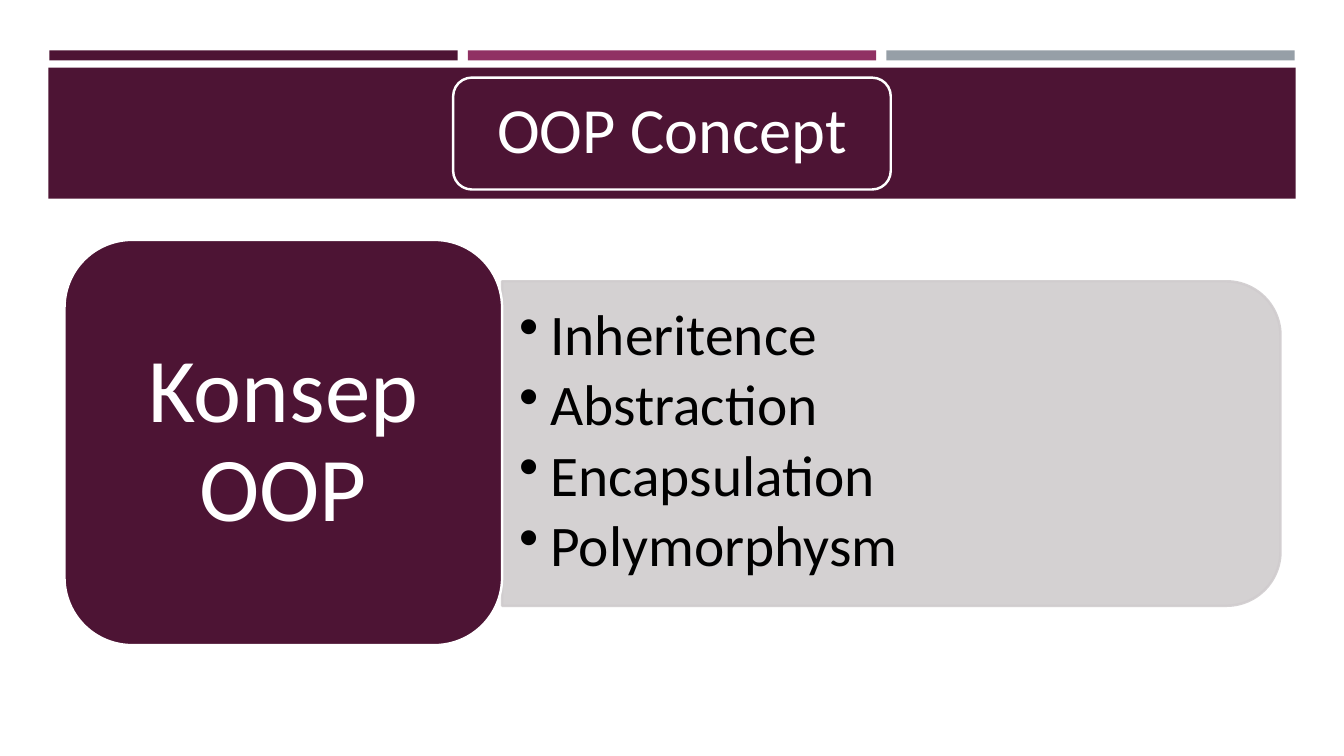
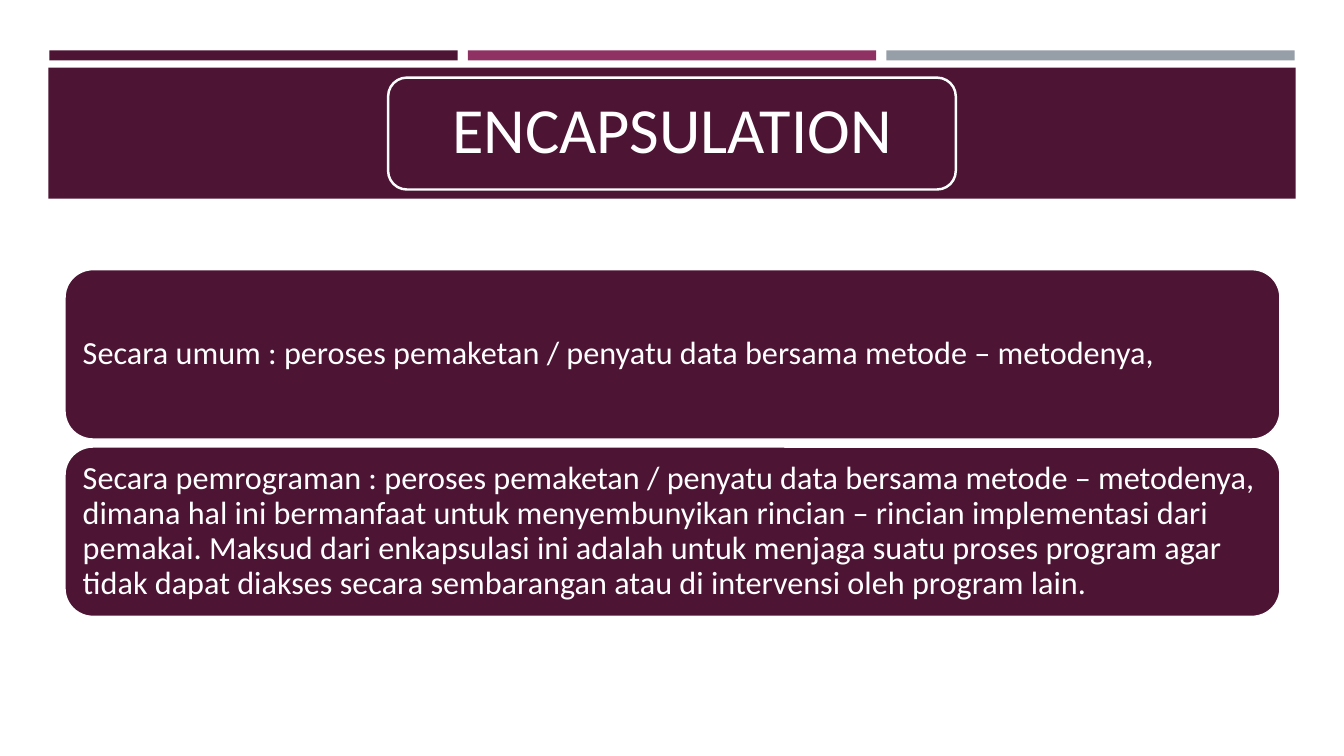
from lxml.etree import SubElement as Sub
from pptx import Presentation
from pptx.dml.color import RGBColor as Rgb
from pptx.enum.shapes import MSO_SHAPE as Kind
from pptx.enum.text import MSO_ANCHOR as Anchor, MSO_AUTO_SIZE as Fit, PP_ALIGN as Align
from pptx.oxml.ns import qn
from pptx.util import Pt

PX = 9144
COLORS = {
    "plum": "4D1434",
    "rose": "903163",
    "slate": "969FA7",
    "mist": "D0CCCE",
    "white": "FFFFFF",
    "black": "000000",
}


def px(*sizes):
    return [round(size * PX) for size in sizes]


def write(shape, text, size, color="white", align=Align.LEFT, pad=(10, 10), after=0, bullet=0):
    frame = shape.text_frame
    frame.word_wrap = True
    frame.auto_size = Fit.NONE
    frame.vertical_anchor = Anchor.MIDDLE
    frame.margin_left = frame.margin_right = px(pad[0])[0]
    frame.margin_top = frame.margin_bottom = px(pad[1])[0]
    for i, line in enumerate(text.split("\n")):
        para = frame.add_paragraph() if i else frame.paragraphs[0]
        para.alignment = align
        para.line_spacing = 0.9
        para.space_before = Pt(0)
        para.space_after = Pt(after)
        if bullet:
            props = para._p.get_or_add_pPr()
            dent = px(bullet)[0]
            props.set("marL", str(dent))
            props.set("indent", str(-dent))
            Sub(props, qn("a:buChar"), char="•")
        run = para.add_run()
        run.text = line
        run.font.name = "Calibri"
        run.font.size = Pt(size)
        run.font.color.rgb = Rgb.from_string(COLORS[color])


class Deck:
    def __init__(self):
        self.prs = Presentation()
        self.prs.slide_width, self.prs.slide_height = px(1333, 750)
        self.layout = self.prs.slide_layouts.get_by_name("Title Only")
        self.slide = None

    def box(self, kind, x, y, w, h, fill="plum", line=None):
        shape = self.slide.shapes.add_shape(kind, *px(x, y, w, h))
        shape.shadow.inherit = False
        shape.fill.solid()
        shape.fill.fore_color.rgb = Rgb.from_string(COLORS[fill])
        if line:
            shape.line.width = Pt(1.75)
            shape.line.color.rgb = Rgb.from_string(COLORS[line])
        else:
            shape.line.fill.background()
        return shape

    def bands(self):
        bars = [
            self.box(Kind.RECTANGLE, 49 + 415 * i, 50, 405, 10, color)
            for i, color in enumerate(("plum", "rose", "slate"))
        ]
        bars.append(self.box(Kind.RECTANGLE, 48, 67, 1237, 130))
        for bar in bars:
            self.layout.shapes._spTree.append(bar._element)

    def start(self, text, width):
        first = self.slide is None
        self.slide = self.prs.slides.add_slide(self.layout)
        if first:
            self.bands()
        left = (1333 - width) / 2
        self.card(left, 77, width, 111)
        title = self.slide.shapes.title
        title.left, title.top, title.width, title.height = px(left + 5, 82, width - 10, 100)
        write(title, text, 46, align=Align.CENTER, pad=(19, 10))
        self.slide.shapes._spTree.append(title._element)

    def card(self, x, y, w, h, text=None, **style):
        shape = self.box(Kind.ROUNDED_RECTANGLE, x, y, w, h, line="white")
        if text:
            write(shape, text, **style)

    def panel(self, x, y, w, h):
        turn = (w - h) / 2
        shape = self.box(Kind.ROUND_2_SAME_RECTANGLE, x + turn, y - turn, h, w, "mist", "mist")
        shape.rotation = 90
        for color in shape._element.spPr.iter(qn("a:srgbClr")):
            Sub(color, qn("a:alpha"), val="90000")

    def list(self, x, y, w, h, text, **style):
        area = self.slide.shapes.add_textbox(*px(x, y, w, h))
        write(area, text, **style)


def main():
    deck = Deck()
    deck.start("OOP Concept", 434)
    deck.panel(498, 279, 772, 322)
    deck.list(498, 294, 756, 290, "Inheritence\nAbstraction\nEncapsulation\nPolymorphysm",
              size=41, color="black", pad=(17, 9), after=6, bullet=31)
    deck.card(64, 238, 434, 402, "Konsep OOP", size=65, align=Align.CENTER, pad=(27, 14))

    deck.start("ENCAPSULATION", 563)
    notes = (
        "Secara umum : peroses pemaketan / penyatu data bersama metode – metodenya,",
        "Secara pemrograman : peroses pemaketan / penyatu data bersama metode – metodenya, "
        "dimana hal ini bermanfaat untuk menyembunyikan rincian – rincian implementasi dari "
        "pemakai. Maksud dari enkapsulasi ini adalah untuk menjaga suatu proses program agar "
        "tidak dapat diakses secara sembarangan atau di intervensi oleh program lain.",
    )
    for i, note in enumerate(notes):
        deck.card(64, 267 + 176 * i, 1206, 169, note, size=23)
    deck.prs.save("out.pptx")


if __name__ == "__main__":
    main()
